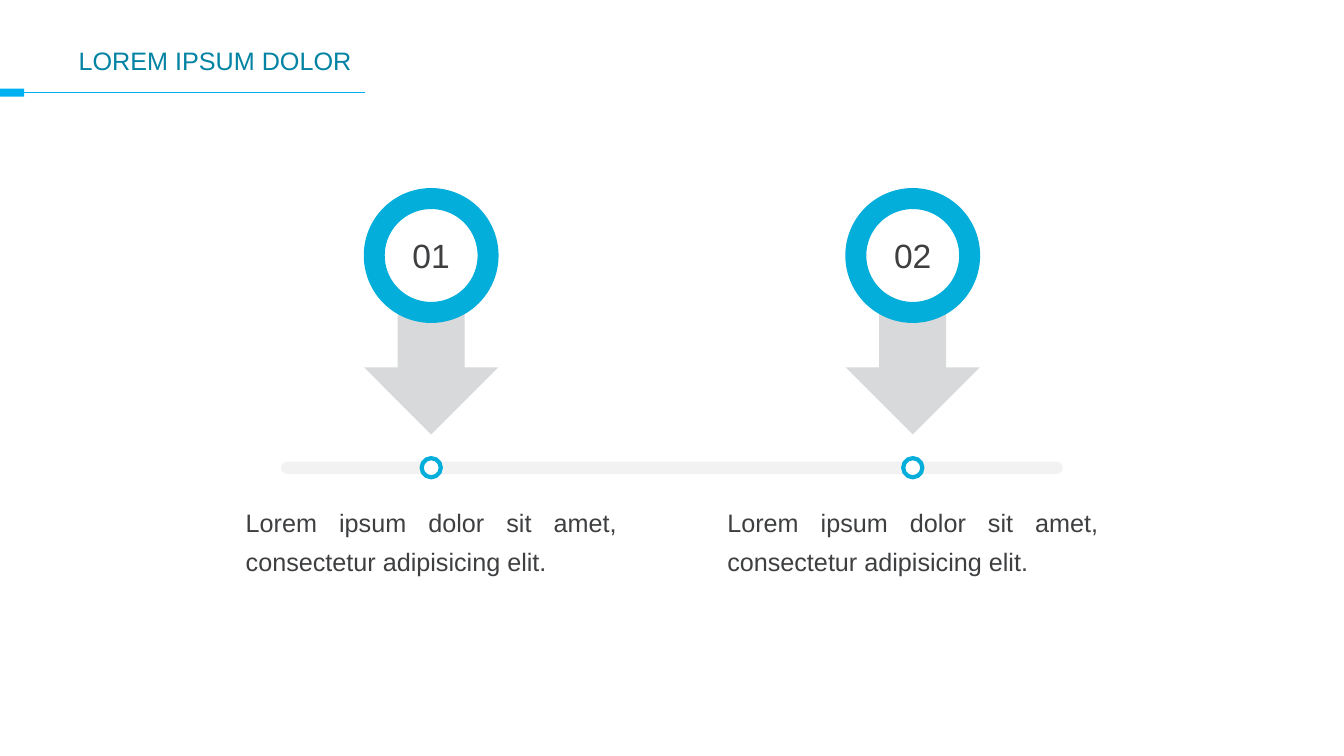
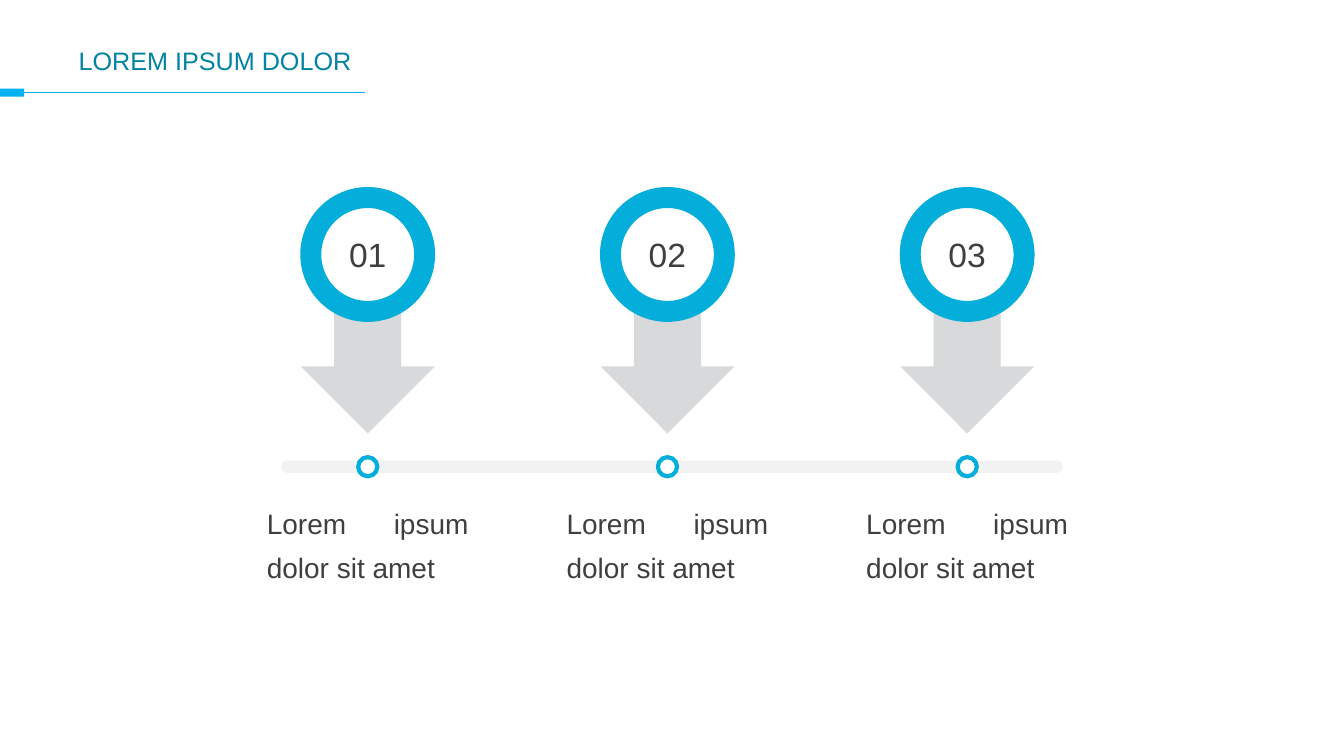
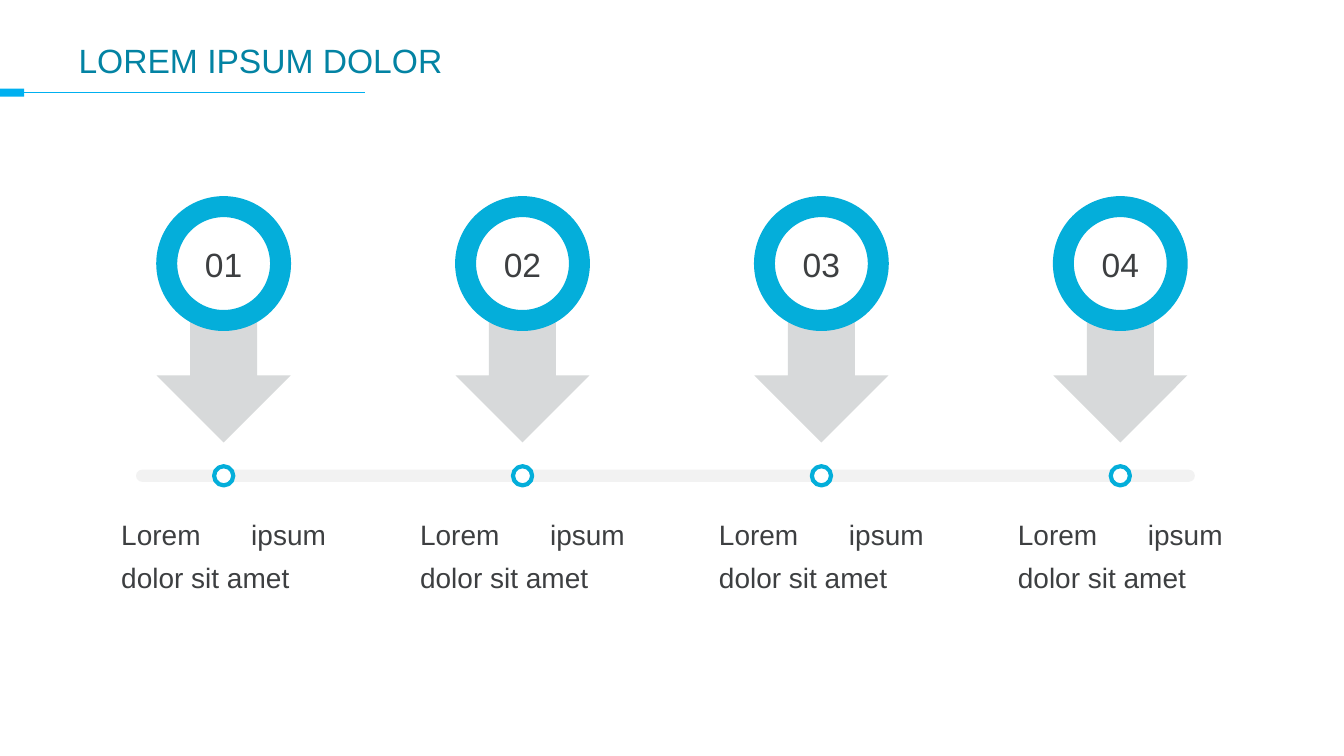
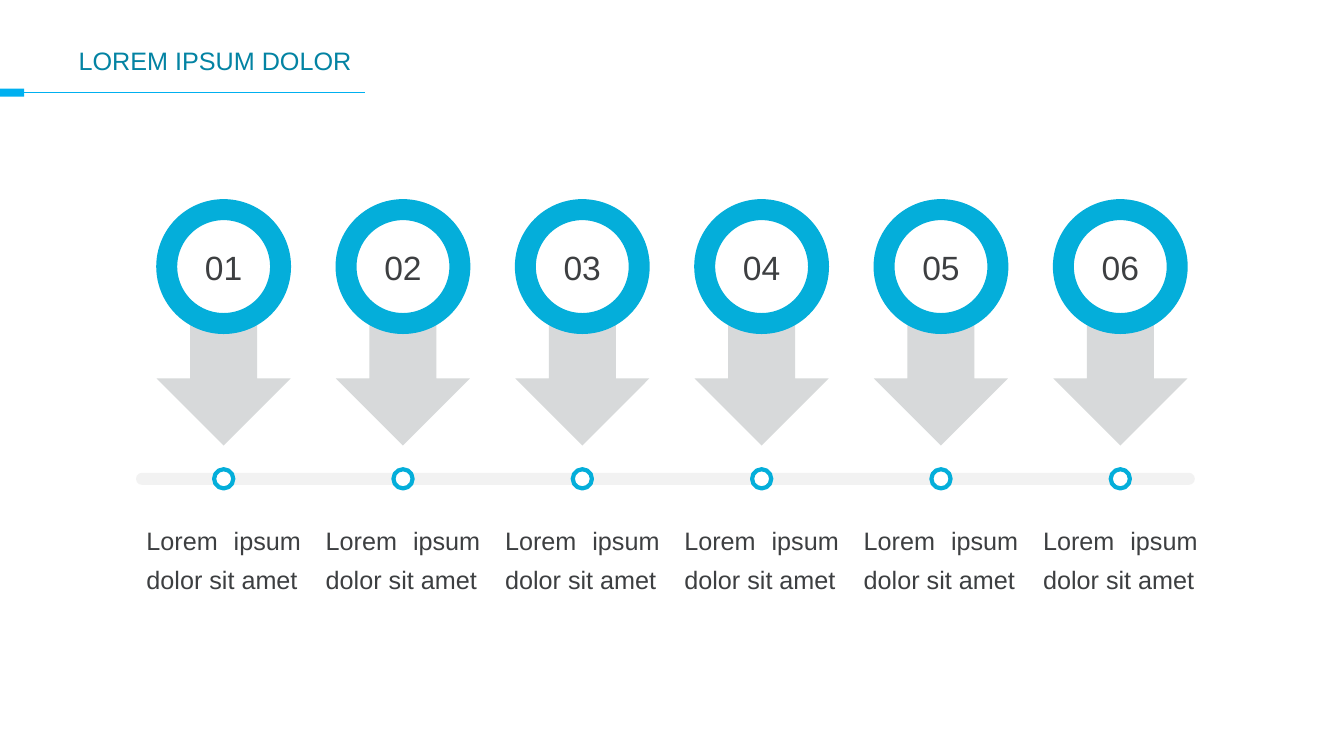
from dataclasses import dataclass
from typing import Any, Optional

import lxml.etree
import pptx
import pptx.dml.color
import pptx.enum.shapes
import pptx.enum.text
import pptx.oxml.ns
import pptx.util

Inches = pptx.util.Inches
Pt = pptx.util.Pt
Shape = pptx.enum.shapes.MSO_SHAPE
Align = pptx.enum.text.PP_ALIGN
Anchor = pptx.enum.text.MSO_ANCHOR


@dataclass(frozen=True)
class Theme:
    font: str = "Arial"
    heading: str = "0383A3"
    ink: str = "3D3F41"
    band: str = "00B0F0"
    ring: str = "04AEDA"
    arrow: str = "D7D9DA"
    rail: str = "F2F2F2"
    paper: str = "FFFFFF"
    number_size: int = 24


@dataclass(frozen=True)
class Timeline:
    count: int
    first_center: float
    last_center: float
    top: float
    rail_left: float
    rail_width: float
    caption_top: float
    caption_width: float
    caption_height: float
    caption: str = "Lorem ipsum dolor sit amet"
    caption_size: int = 18
    heading_size: int = 18

    def center(self, index: int) -> float:
        step = (self.last_center - self.first_center) / (self.count - 1)
        return self.first_center + index * step


THEME = Theme()
HEADING = "LOREM IPSUM DOLOR"
RING_SIZE = 1.13
ARROW_WIDTH, ARROW_HEIGHT = 1.33, 1.77
ARROW_DROP = 0.57
RAIL_DROP, RAIL_HEIGHT = 2.61, 0.12
DOT_SIZE = 0.19

TIMELINES = [
    Timeline(2, 4.28, 9.06, 1.97, 2.79, 7.76, 4.89, 3.88, 1.28,
             caption="Lorem ipsum dolor sit amet, consectetur adipisicing elit."),
    Timeline(3, 3.65, 9.6, 1.96, 2.79, 7.76, 4.88, 2.2, 1.41, caption_size=20),
    Timeline(4, 2.22, 11.12, 2.05, 1.35, 10.51, 4.98, 2.23, 1.41,
             caption_size=20, heading_size=24),
    Timeline(6, 2.22, 11.12, 2.08, 1.35, 10.51, 5.07, 1.73, 1.28),
]


def rgb(color: str) -> pptx.dml.color.RGBColor:
    return pptx.dml.color.RGBColor.from_string(color)


def write_text(holder: Any, text: str, *, size: int, color: str = THEME.ink,
               align: Any = Align.LEFT, anchor: Any = Anchor.TOP,
               spacing: Optional[float] = None, inset: Optional[float] = None) -> None:
    frame = holder.text_frame
    frame.word_wrap = True
    frame.auto_size = pptx.enum.text.MSO_AUTO_SIZE.NONE
    frame.vertical_anchor = anchor
    if inset is not None:
        frame.margin_left = frame.margin_right = Inches(inset)
        frame.margin_top = frame.margin_bottom = Inches(inset)
    frame.text = text
    paragraph = frame.paragraphs[0]
    paragraph.alignment = align
    if spacing is not None:
        paragraph.line_spacing = spacing
    font = paragraph.runs[0].font
    font.name = THEME.font
    font.size = Pt(size)
    font.color.rgb = rgb(color)


def draw_shape(shapes: Any, kind: Any, left: float, top: float, width: float,
               height: float, fill: str, outline: float = 0) -> Any:
    shape = shapes.add_shape(kind, Inches(left), Inches(top), Inches(width), Inches(height))
    shape.shadow.inherit = False
    shape.fill.solid()
    shape.fill.fore_color.rgb = rgb(fill)
    if outline:
        shape.line.color.rgb = rgb(THEME.ring)
        shape.line.width = Pt(outline)
    else:
        shape.line.fill.background()
    return shape


def prepare_layout(layout: Any) -> None:
    for placeholder in list(layout.placeholders):
        if placeholder.placeholder_format.idx:
            layout.shapes.element.remove(placeholder.element)
        else:
            placeholder.left, placeholder.top = Inches(0.68), Inches(0.28)
            placeholder.width, placeholder.height = Inches(12), Inches(0.63)


def move_band_to_layout(slide: Any, layout: Any) -> None:
    tab = draw_shape(slide.shapes, Shape.RECTANGLE, 0, 0.88, 0.24, 0.08, THEME.band)
    rule = slide.shapes.add_connector(pptx.enum.shapes.MSO_CONNECTOR.STRAIGHT,
                                      Inches(3.62), Inches(0.92), Inches(0.24), Inches(0.92))
    rule.end_connect(tab, 3)
    rule.line.color.rgb = rgb(THEME.band)
    rule.line.width = Pt(0.75)
    lxml.etree.SubElement(rule.element.spPr, pptx.oxml.ns.qn("a:effectLst"))
    for part in (rule, tab):
        layout.shapes.element.append(part.element)


def draw_pin(slide: Any, timeline: Timeline, index: int) -> None:
    shapes = slide.shapes.add_group_shape().shapes
    center = timeline.center(index)
    draw_shape(shapes, Shape.DOWN_ARROW, center - ARROW_WIDTH / 2, timeline.top + ARROW_DROP,
               ARROW_WIDTH, ARROW_HEIGHT, THEME.arrow)
    ring = draw_shape(shapes, Shape.OVAL, center - RING_SIZE / 2, timeline.top,
                      RING_SIZE, RING_SIZE, THEME.paper, outline=15)
    write_text(ring, f"{index + 1:02}", size=THEME.number_size,
               align=Align.CENTER, anchor=Anchor.MIDDLE, inset=0)
    rail_middle = timeline.top + RAIL_DROP + RAIL_HEIGHT / 2
    draw_shape(shapes, Shape.OVAL, center - DOT_SIZE / 2, rail_middle - DOT_SIZE / 2,
               DOT_SIZE, DOT_SIZE, THEME.paper, outline=3)
    caption = shapes.add_textbox(Inches(center - timeline.caption_width / 2),
                                 Inches(timeline.caption_top),
                                 Inches(timeline.caption_width),
                                 Inches(timeline.caption_height))
    write_text(caption, timeline.caption, size=timeline.caption_size,
               align=Align.JUSTIFY, spacing=1.3)


def draw_timeline(slide: Any, timeline: Timeline) -> None:
    write_text(slide.shapes.title, HEADING, size=timeline.heading_size,
               color=THEME.heading, anchor=Anchor.MIDDLE)
    rail = draw_shape(slide.shapes, Shape.ROUNDED_RECTANGLE, timeline.rail_left,
                      timeline.top + RAIL_DROP, timeline.rail_width, RAIL_HEIGHT, THEME.rail)
    rail.adjustments[0] = 0.5
    for index in range(timeline.count):
        draw_pin(slide, timeline, index)


def main() -> None:
    deck = pptx.Presentation()
    deck.slide_width, deck.slide_height = Inches(13.34), Inches(7.5)
    layout = deck.slide_layouts.get_by_name("Title Only")
    prepare_layout(layout)
    slides = [deck.slides.add_slide(layout) for _ in TIMELINES]
    move_band_to_layout(slides[0], layout)
    for slide, timeline in zip(slides, TIMELINES):
        draw_timeline(slide, timeline)
    deck.save("out.pptx")


if __name__ == "__main__":
    main()
